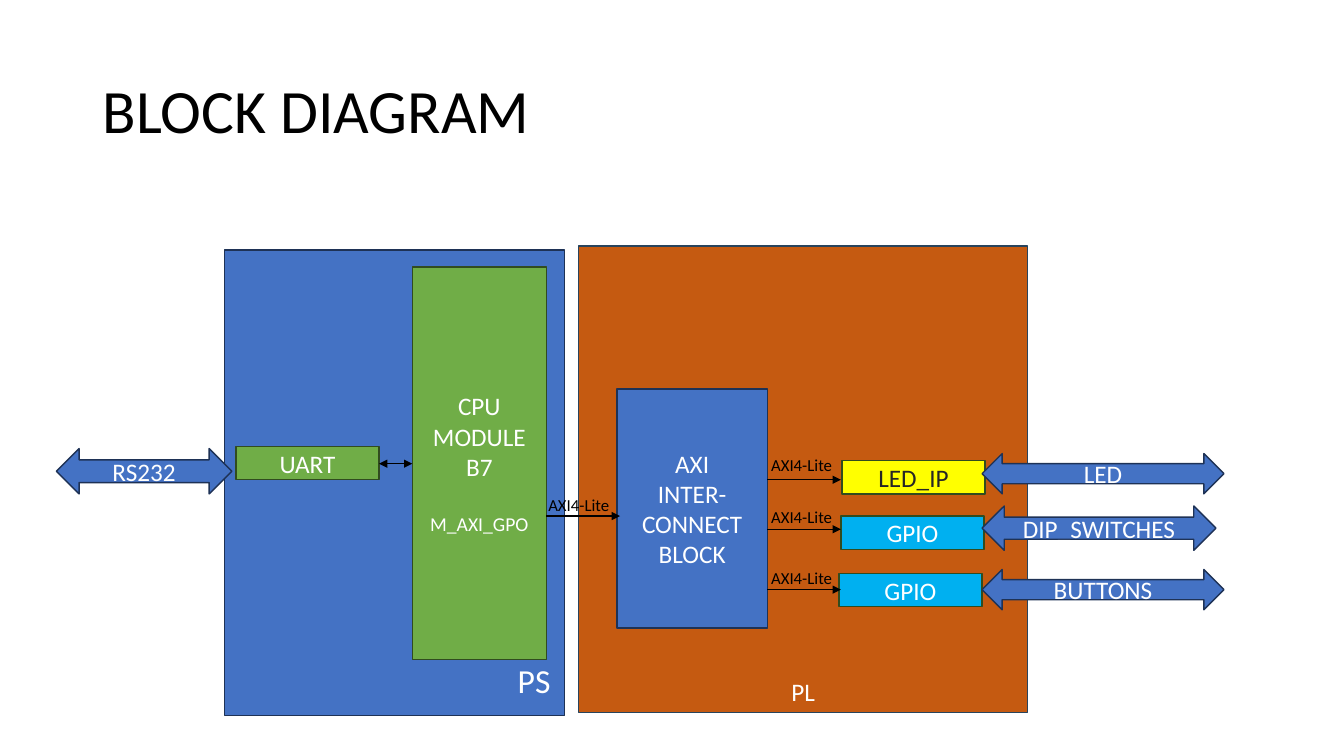
from lxml.etree import SubElement
from pptx import Presentation
from pptx.dml.color import RGBColor
from pptx.enum.shapes import MSO_CONNECTOR, MSO_SHAPE
from pptx.enum.text import MSO_ANCHOR, PP_ALIGN
from pptx.oxml.ns import qn
from pptx.util import Pt

PX = 9144
FONT = "Calibri"
WHITE = RGBColor(0xFF, 0xFF, 0xFF)
BLACK = RGBColor(0x00, 0x00, 0x00)
DARK_GRAY = RGBColor(0x26, 0x26, 0x26)
BLUE = RGBColor(0x44, 0x72, 0xC4)
NAVY = RGBColor(0x1E, 0x32, 0x56)
GREEN = RGBColor(0x70, 0xAD, 0x47)
DARK_GREEN = RGBColor(0x31, 0x4C, 0x1F)
ORANGE = RGBColor(0xC5, 0x5A, 0x11)
SLATE = RGBColor(0x28, 0x44, 0x5D)
YELLOW = RGBColor(0xFF, 0xFF, 0x00)
SKY = RGBColor(0x00, 0xB0, 0xF0)


def px(*lengths):
    return [length * PX for length in lengths]


def write(frame, text, size, color, align, anchor):
    frame.text = text
    frame.word_wrap = True
    frame.vertical_anchor = anchor
    for paragraph in frame.paragraphs:
        paragraph.alignment = align
        for run in paragraph.runs:
            run.font.name = FONT
            run.font.size = Pt(size)
            run.font.color.rgb = color


def add_block(slide, bounds, text, fill, outline, color=WHITE, size=18,
              align=PP_ALIGN.CENTER, anchor=MSO_ANCHOR.MIDDLE,
              preset=MSO_SHAPE.RECTANGLE):
    block = slide.shapes.add_shape(preset, *px(*bounds))
    block.shadow.inherit = False
    block.fill.solid()
    block.fill.fore_color.rgb = fill
    block.line.color.rgb = outline
    block.line.width = Pt(1)
    write(block.text_frame, text, size, color, align, anchor)
    return block.text_frame


def add_port(slide, bounds, text):
    add_block(slide, bounds, text, BLUE, NAVY,
              preset=MSO_SHAPE.LEFT_RIGHT_ARROW)


def add_label(slide, bounds, text, size, anchor=MSO_ANCHOR.TOP):
    label = slide.shapes.add_textbox(*px(*bounds))
    write(label.text_frame, text, size, BLACK, PP_ALIGN.LEFT, anchor)
    return label.text_frame


def add_bus(slide, left, right, y, ends=("tailEnd",)):
    bus = slide.shapes.add_connector(
        MSO_CONNECTOR.STRAIGHT, *px(left, y, right, y))
    bus.line.color.rgb = BLACK
    bus.line.width = Pt(1)
    line = bus.line._get_or_add_ln()
    for end in ends:
        SubElement(line, qn("a:" + end), type="triangle")
    SubElement(bus._element.spPr, qn("a:effectLst"))


def add_processing_system(slide):
    system = add_block(slide, (223, 248, 337, 462), "PS", BLUE, NAVY, size=24,
                       align=PP_ALIGN.RIGHT, anchor=MSO_ANCHOR.BOTTOM)
    system.margin_right, system.margin_bottom = px(14, 15)
    processor = add_block(slide, (409, 265, 133, 389),
                          "CPU MODULE\nB7\nM_AXI_GPO", GREEN, DARK_GREEN)
    master_port = processor.paragraphs[-1]
    master_port.space_before = Pt(22)
    master_port.runs[0].font.size = Pt(14)
    add_block(slide, (234, 443, 142, 33), "UART", GREEN, DARK_GREEN)
    add_bus(slide, 376, 409, 460, ("headEnd", "tailEnd"))
    add_port(slide, (56, 445, 174, 45), "RS232")


def add_programmable_logic(slide):
    logic = add_block(slide, (574, 244, 445, 463), "PL", ORANGE, SLATE,
                      anchor=MSO_ANCHOR.BOTTOM)
    logic.margin_bottom, = px(6)
    add_block(slide, (612, 386, 149, 237), "AXI\nINTER-\nCONNECT\nBLOCK",
              BLUE, NAVY)
    peripherals = [
        ("LED_IP", YELLOW, DARK_GRAY, (835, 457), 476, "LED", (450, 240, 40)),
        ("GPIO", SKY, WHITE, (834, 512), 525, "DIP_SWITCHES", (502, 232, 44)),
        ("GPIO", SKY, WHITE, (832, 569), 585, "BUTTONS", (565, 240, 40)),
    ]
    for name, fill, color, corner, bus_y, port, port_bounds in peripherals:
        add_block(slide, (*corner, 142, 33), name, fill, DARK_GREEN, color)
        add_bus(slide, 761, 834, bus_y)
        add_port(slide, (974, *port_bounds), port)
    for label_top in (446, 498, 558):
        add_label(slide, (755, label_top, 96, 30), "AXI4-Lite", 12)


def main():
    presentation = Presentation()
    presentation.slide_width, presentation.slide_height = px(1333, 750)
    slide = presentation.slides.add_slide(presentation.slide_layouts[6])
    title = add_label(slide, (92, 40, 1150, 145), "BLOCK DIAGRAM", 44,
                      MSO_ANCHOR.MIDDLE)
    title.paragraphs[0].line_spacing = 0.9
    add_processing_system(slide)
    add_programmable_logic(slide)
    add_bus(slide, 542, 615, 512)
    add_label(slide, (534, 486, 96, 30), "AXI4-Lite", 12)
    presentation.save("out.pptx")


if __name__ == "__main__":
    main()
